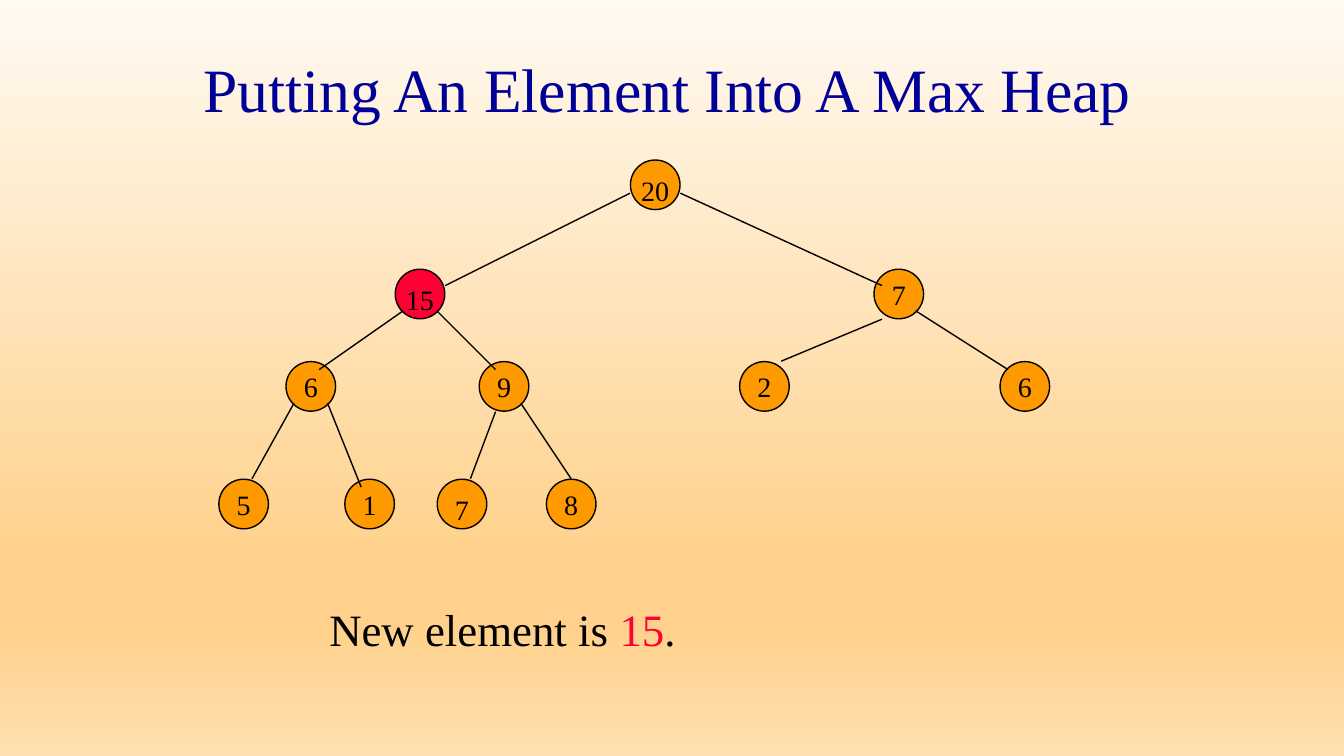
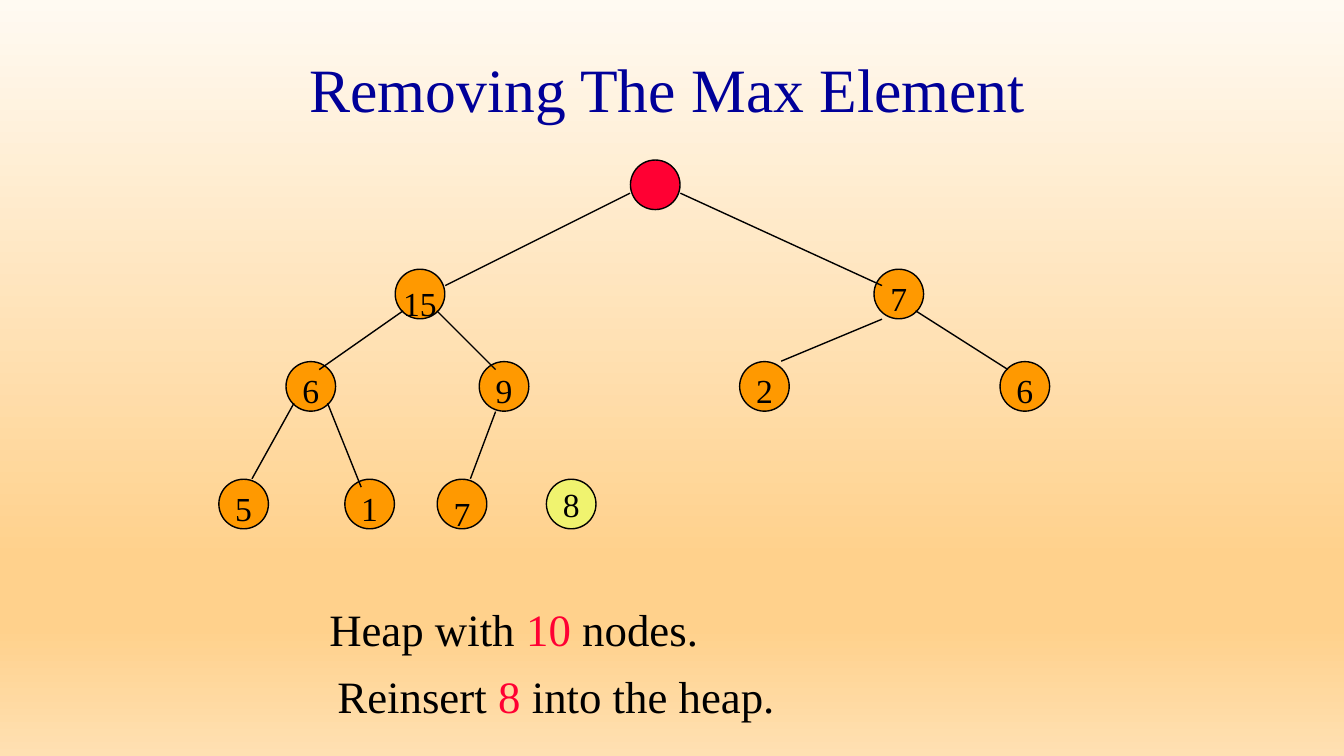
from lxml import etree
from pptx import Presentation
from pptx.dml.color import RGBColor
from pptx.enum.shapes import MSO_CONNECTOR, MSO_SHAPE
from pptx.enum.text import MSO_ANCHOR, MSO_AUTO_SIZE, PP_ALIGN
from pptx.oxml.ns import qn
from pptx.util import Inches, Pt

ELLIPSE, STRAIGHT = MSO_SHAPE.OVAL, MSO_CONNECTOR.STRAIGHT
MIDDLE, TOP = MSO_ANCHOR.MIDDLE, MSO_ANCHOR.TOP
CENTER, LEFT = PP_ALIGN.CENTER, PP_ALIGN.LEFT
FIXED_SIZE = MSO_AUTO_SIZE.NONE

FONT = "Times New Roman"
COLORS = {
    "title": "000099", "text": "000000", "accent": "FF0033",
    "node": "FF9900", "removed": "F0F36F",
}
BACKGROUND_STOPS = [(0, "FFFAF2"), (74, "FFD18C"), (83, "FFD18C"), (100, "FFE0B2")]

# Slide grid: 160 columns by 90 rows; boxes are (column, row, width, height)
COLUMNS, ROWS = 160, 90
SLIDE_WIDTH, SLIDE_HEIGHT = Inches(13.33), Inches(7.5)
TITLE_BOX = (21, 3, 117, 15)
TREE_BOX = (26, 19, 99, 45)
CAPTION_BOX = (38, 71, 84, 8)
NOTE_BOX = (39, 79, 84, 8)

# Heap nodes level by level: a row and the columns of its node centres
NODE_DIAMETER = 5.9
LEVELS = [(3, [52]), (16, [24, 81]), (27, [11, 34, 65, 96]), (41, [3, 18, 29, 42])]
NODE_CENTERS = [(column, row) for row, columns in LEVELS for column in columns]
LOW_LABELS = {0, 1, 9}

# The edge at index i leads down to node i + 1
EDGES = [
    (49, 4, 27, 15), (55, 4, 79, 15),
    (22, 18, 12, 25), (26, 18, 33, 25), (79, 19, 67, 24), (83, 18, 94, 25),
    (9, 29, 4, 38), (13, 29, 17, 39), (33, 30, 30, 38), (36, 29, 42, 38),
]

SLIDES = [
    {
        "title": "Putting An Element Into A Max Heap",
        "labels": ["20", "15", "7", "6", "9", "2", "6", "5", "1", "7", "8"],
        "fills": {1: "accent"}, "label_size": 20, "label_drop": 0, "edges": 10,
        "caption": [("New element is ", "text"), ("15", "accent"), (".", "text")],
        "note": None,
    },
    {
        "title": "Removing The Max Element",
        "labels": ["", "15", "7", "6", "9", "2", "6", "5", "1", "7", "8"],
        "fills": {0: "accent", 10: "removed"},
        "label_size": 24, "label_drop": 0.04, "edges": 9,
        "caption": [("Heap with ", "text"), ("10 ", "accent"), ("nodes.", "text")],
        "note": [("Reinsert ", "text"), ("8 ", "accent"), ("into the heap.", "text")],
    },
]


def color(name):
    return RGBColor.from_string(COLORS[name])


def across(columns):
    return round(SLIDE_WIDTH * columns / COLUMNS)


def down(rows):
    return round(SLIDE_HEIGHT * rows / ROWS)


def place(shape, box):
    column, row, width, height = box
    shape.left, shape.top = across(column), down(row)
    shape.width, shape.height = across(width), down(height)


def write(shape, runs, size, alignment, anchor):
    """Fill a shape with one paragraph of (text, colour name) runs."""
    frame = shape.text_frame
    frame.word_wrap, frame.auto_size = True, FIXED_SIZE
    frame.vertical_anchor = anchor
    paragraph = frame.paragraphs[0]
    paragraph.alignment = alignment
    paragraph.font.name, paragraph.font.size = FONT, Pt(size)
    for text, color_name in runs:
        run = paragraph.add_run()
        run.text = text
        run.font.color.rgb = color(color_name)


def set_background(master):
    """Give every slide the same vertical gradient."""
    fill = master.background.fill
    fill.gradient()
    fill.gradient_angle = 270
    stop_list = next(master.element.cSld.iter(qn("a:gsLst")))
    for stop in list(stop_list):
        stop_list.remove(stop)
    for percent, value in BACKGROUND_STOPS:
        stop = etree.SubElement(stop_list, qn("a:gs"), pos=str(percent * 1000))
        etree.SubElement(stop, qn("a:srgbClr"), val=value)


def add_node(slide, center, label, fill_name, size, drop):
    column, row = center
    radius = NODE_DIAMETER / 2
    node = slide.shapes.add_shape(
        ELLIPSE, across(column - radius), down(row - radius),
        across(NODE_DIAMETER), down(NODE_DIAMETER))
    node.shadow.inherit = False
    node.fill.solid()
    node.fill.fore_color.rgb = color(fill_name)
    node.line.color.rgb, node.line.width = color("text"), Pt(1)
    if label:
        write(node, [(label, "text")], size, CENTER, MIDDLE)
        frame = node.text_frame
        frame.word_wrap = False
        frame.margin_left = frame.margin_right = frame.margin_bottom = 0
        # Middle anchoring halves the inset, so double it
        frame.margin_top = Inches(2 * drop)


def add_edge(slide, start, end):
    edge = slide.shapes.add_connector(
        STRAIGHT, across(start[0]), down(start[1]), across(end[0]), down(end[1]))
    edge.line.color.rgb, edge.line.width = color("text"), Pt(1)
    etree.SubElement(edge.element.spPr, qn("a:effectLst"))


def add_tree(slide, box, content):
    left, top = box[:2]
    last = len(NODE_CENTERS) - 1
    for index, (column, row) in enumerate(NODE_CENTERS):
        drop = content["label_drop"] + (0.05 if index in LOW_LABELS else 0)
        add_node(slide, (left + column, top + row), content["labels"][index],
                 content["fills"].get(index, "node"), content["label_size"],
                 0 if index == last else drop)
    for x1, y1, x2, y2 in EDGES[:content["edges"]]:
        add_edge(slide, (left + x1, top + y1), (left + x2, top + y2))


def add_heap_slide(presentation, content):
    slide = presentation.slides.add_slide(presentation.slide_layouts[0])
    # Title and caption
    title, caption = slide.shapes.title, slide.placeholders[1]
    place(title, TITLE_BOX)
    write(title, [(content["title"], "title")], 44, CENTER, MIDDLE)
    place(caption, CAPTION_BOX)
    write(caption, content["caption"], 32, LEFT, TOP)
    # Heap
    add_tree(slide, TREE_BOX, content)
    # Second line below the caption
    if content["note"]:
        note = slide.shapes.add_textbox(0, 0, 0, 0)
        place(note, NOTE_BOX)
        write(note, content["note"], 32, LEFT, TOP)


def main():
    presentation = Presentation()
    presentation.slide_width, presentation.slide_height = SLIDE_WIDTH, SLIDE_HEIGHT
    set_background(presentation.slide_master)
    for content in SLIDES:
        add_heap_slide(presentation, content)
    presentation.save("out.pptx")


if __name__ == "__main__":
    main()
